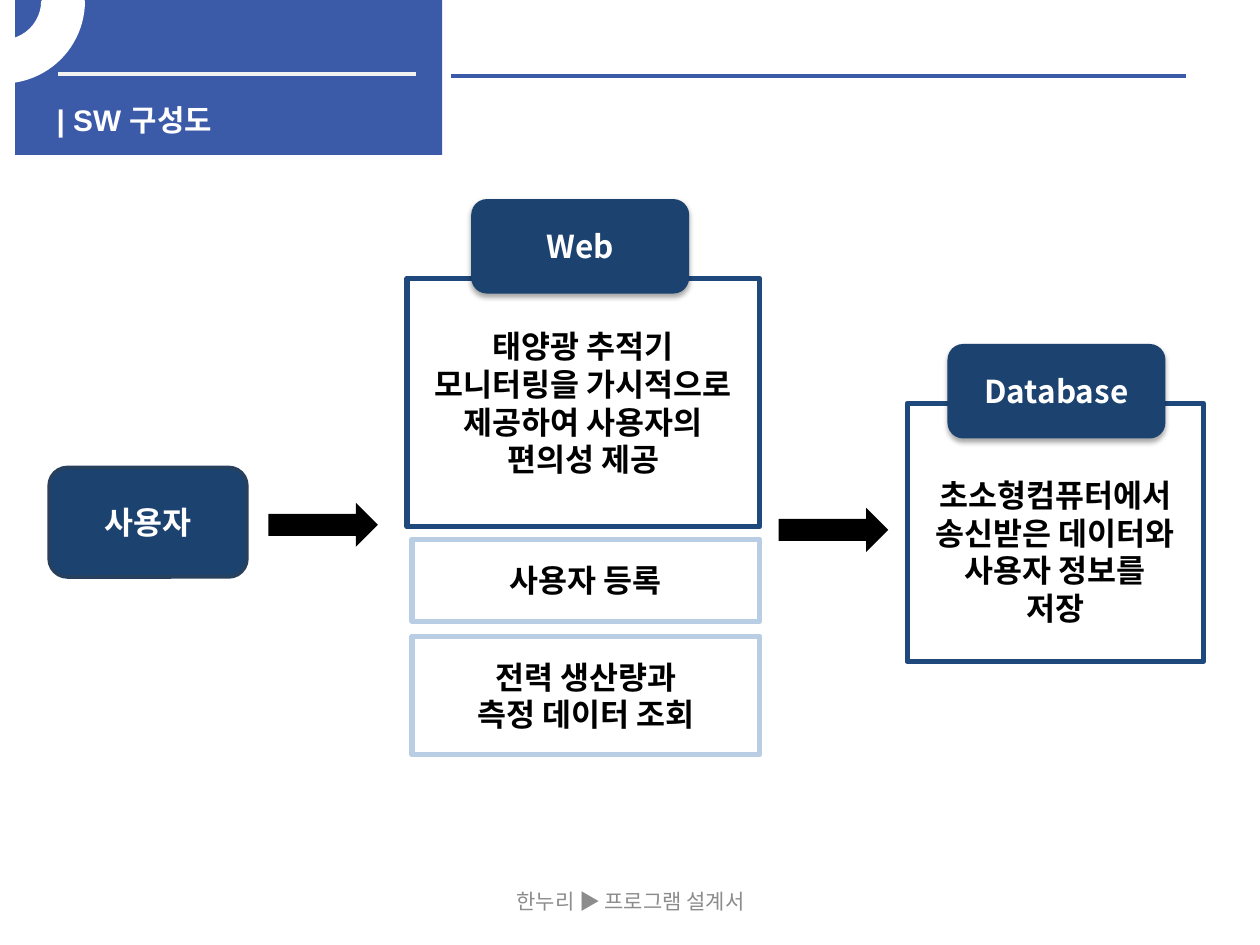
from lxml.etree import SubElement
from pptx import Presentation
from pptx.dml.color import RGBColor
from pptx.enum.shapes import MSO_CONNECTOR as Connector, MSO_SHAPE as Shape
from pptx.enum.text import MSO_ANCHOR as Anchor, MSO_AUTO_SIZE as AutoSize, PP_ALIGN as Align
from pptx.oxml.ns import qn
from pptx.util import Inches, Pt

BLUE = RGBColor(0x3B, 0x5A, 0xA8)
NAVY = RGBColor(0x1C, 0x42, 0x70)
NAVY_EDGE = RGBColor(0x27, 0x40, 0x5E)
FRAME = RGBColor(0x1F, 0x49, 0x7D)
PALE = RGBColor(0xB9, 0xCD, 0xE5)
WHITE = RGBColor(0xFF, 0xFF, 0xFF)
OFF_WHITE = RGBColor(0xF2, 0xF2, 0xF2)
GRAY = RGBColor(0x8C, 0x8C, 0x8C)
BLACK = RGBColor(0, 0, 0)
KOREAN = "Noto Sans CJK KR"

# Content: places are left, top, width, height in inches
TITLE = "| SW 구성도"
FOOTER = "한누리 ▶ 프로그램 설계서"
RULES = [(0.46, 3.3, 0.59, OFF_WHITE), (3.58, 9.41, 0.6, BLUE)]  # from x, to x, y
FRAMES = [  # place, edge, top inset, lines
    ((3.23, 2.21, 2.8, 1.97), FRAME, 0.05,
     ["태양광 추적기", "모니터링을 가시적으로 제공하여 사용자의", "편의성 제공"]),
    ((7.2, 3.2, 2.35, 2.05), FRAME, 0.35,
     ["초소형컴퓨터에서", "송신받은 데이터와", "사용자 정보를", "저장"]),
    ((3.27, 4.28, 2.76, 0.65), PALE, 0.05, ["사용자 등록"]),
    ((3.27, 5.05, 2.76, 0.94), PALE, 0.05, ["전력 생산량과", "측정 데이터 조회"]),
]
USER = ((0.39, 3.71, 1.57, 0.87), "사용자")
TABS = [((3.74, 1.58, 1.73, 0.75), "Web"), ((7.52, 2.73, 1.73, 0.75), "Database")]
ARROWS = [(2.13, 3.99), (6.18, 4.03)]


def write(frame, lines, size, color, bold=True, font=KOREAN, align=Align.CENTER):
    frame.word_wrap = True
    for index, line in enumerate(lines):
        para = frame.add_paragraph() if index else frame.paragraphs[0]
        para.alignment = align
        span = para.add_run()
        span.text = line
        span.font.size, span.font.bold, span.font.name = Pt(size), bold, font
        span.font.color.rgb = color
        SubElement(span.font._element, qn("a:ea"), typeface=KOREAN)


def add_box(page, kind, place, fill, edge=None, width=0):
    box = page.shapes.add_shape(kind, *map(Inches, place))
    box.shadow.inherit = False
    box.fill.solid()
    box.fill.fore_color.rgb = fill
    if edge is None:
        box.line.fill.background()
    else:
        box.line.color.rgb, box.line.width = edge, Pt(width)
    box.text_frame.vertical_anchor = Anchor.MIDDLE
    return box


def add_soft_shadow(box):
    effects = box._element.spPr.find(qn("a:effectLst"))
    shadow = SubElement(effects, qn("a:outerShdw"), blurRad=str(Pt(3.1)), dist=str(Pt(1.8)),
                        dir="5400000", rotWithShape="0")
    color = SubElement(shadow, qn("a:srgbClr"), val="000000")
    SubElement(color, qn("a:alpha"), val="35000")


deck = Presentation()
deck.slide_width, deck.slide_height = Inches(10), Inches(7.5)
page = deck.slides.add_slide(deck.slide_layouts[5])

# Header band and rules
add_box(page, Shape.RECTANGLE, (0.12, 0, 3.39, 1.23), BLUE)
for start, end, y, color in RULES:
    rule = page.shapes.add_connector(
        Connector.STRAIGHT, Inches(start), Inches(y), Inches(end), Inches(y))
    rule.line.color.rgb, rule.line.width = color, Pt(2.25)
    SubElement(rule._element.spPr, qn("a:effectLst"))

# Title, raised above the band
title = page.shapes.title
title.left, title.top, title.width, title.height = map(Inches, (0.35, 0.76, 3.23, 0.3))
title.text_frame.auto_size = AutoSize.NONE
title.text_frame.vertical_anchor = Anchor.TOP
write(title.text_frame, [TITLE], 17, WHITE, font="Arial", align=Align.LEFT)
title._element.getparent().append(title._element)

# Corner ring
ring = add_box(page, Shape.BLOCK_ARC, (-0.63, -0.63, 1.29, 1.28), WHITE, WHITE, 2)
for index, value in enumerate((161.59 * 0.6, 0, 0.25)):  # angles count 0.6 per degree
    ring.adjustments[index] = value
ring._element.spPr.find(qn("a:xfrm")).set("flipV", "1")

# Footer
footer = page.shapes.add_textbox(*map(Inches, (3.42, 6.95, 3.17, 0.4)))
footer.text_frame.vertical_anchor = Anchor.MIDDLE
write(footer.text_frame, [FOOTER], 12, GRAY, bold=False)

# Framed descriptions
for place, edge, inset, lines in FRAMES:
    box = add_box(page, Shape.FLOWCHART_PROCESS, place, WHITE, edge, 3)
    box.text_frame.margin_top = Inches(inset)
    write(box.text_frame, lines, 18, BLACK)

# User node and frame tabs
place, label = USER
user = add_box(page, Shape.ROUNDED_RECTANGLE, place, NAVY, NAVY_EDGE, 2)
write(user.text_frame, [label], 18, WHITE)
for place, label in TABS:
    tab = add_box(page, Shape.ROUNDED_RECTANGLE, place, NAVY)
    add_soft_shadow(tab)
    write(tab.text_frame, [label], 18, WHITE)

# Flow arrows
for left, top in ARROWS:
    add_box(page, Shape.RIGHT_ARROW, (left, top, 0.87, 0.35), BLACK)

deck.save("out.pptx")
